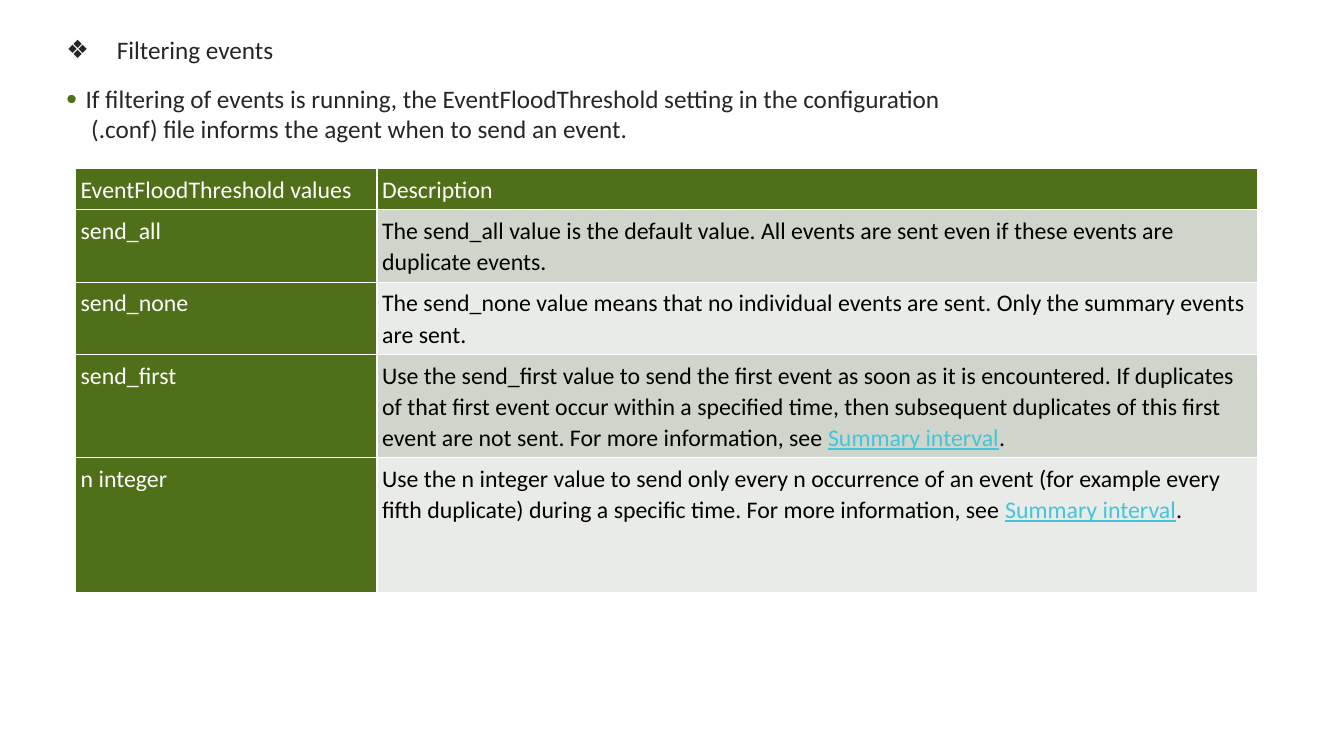
from lxml.etree import SubElement
from pptx import Presentation
from pptx.dml.color import RGBColor
from pptx.enum.text import MSO_ANCHOR as Anchor
from pptx.oxml.ns import qn
from pptx.util import Inches, Pt

COLORS = {"green": "4F6F19", "ink": "262626", "white": "FFFFFF", "black": "000000",
          "link": "41C4DC", "dark_band": "D0D5CC", "light_band": "E9EBE8"}
HEADINGS = [
    {"box": (0.56, 0.21, 8.89, 0.57), "anchor": Anchor.MIDDLE, "bullet": "❖",
     "indent": 0.5, "bullet_color": "ink", "bullet_size": 100, "text": "Filtering events"},
    {"box": (0.56, 0.78, 12.11, 0.8), "anchor": Anchor.TOP, "bullet": "•",
     "indent": 0.19, "bullet_color": "green", "bullet_size": 120,
     "text": "If filtering of events is running, the EventFloodThreshold setting in the configuration\v"
             " (.conf) file informs the agent when to send an event."},
]
SUMMARY_LINK = "Summary interval"
ROWS = [
    ("EventFloodThreshold values", ["Description"]),
    ("send_all", ["The send_all value is the default value. All events are sent even if "
                  "these events are duplicate events."]),
    ("send_none", ["The send_none value means that no individual events are sent. Only the "
                   "summary events are sent."]),
    ("send_first", ["Use the send_first value to send the first event as soon as it is encountered. "
                    "If duplicates of that first event occur within a specified time, then subsequent "
                    "duplicates of this first event are not sent. For more information, see ",
                    SUMMARY_LINK, "."]),
    ("n integer", ["Use the n integer value to send only every n occurrence of an event (for example "
                   "every fifth duplicate) during a specific time. For more information, see ",
                   SUMMARY_LINK, "."]),
]
TABLE_LEFT, TABLE_TOP = 0.75, 1.67
COLUMN_WIDTHS = [2.99, 8.73]
ROW_HEIGHTS = [0.41, 0.72, 0.72, 1.02, 1.34]
CELL_FORMAT = {f"margin_{side}": Inches(0.05) for side in ("left", "right", "top", "bottom")}


def color(name):
    return RGBColor.from_string(COLORS[name])


def set_all(target, values):
    for name, value in values.items():
        setattr(target, name, value)


def style(font, size, name, underline=False):
    set_all(font, {"name": "Calibri", "size": Pt(size), "bold": False, "underline": underline})
    font.color.rgb = color(name)


def add_bullet(para, heading):
    props = para._p.get_or_add_pPr()
    indent = Inches(heading["indent"])
    props.set("marL", str(indent))
    props.set("indent", str(-indent))
    tint = SubElement(props, qn("a:buClr"))
    SubElement(tint, qn("a:srgbClr"), val=COLORS[heading["bullet_color"]])
    SubElement(props, qn("a:buSzPct"), val=str(heading["bullet_size"] * 1000))
    SubElement(props, qn("a:buFont"), typeface="Arial")
    SubElement(props, qn("a:buChar"), char=heading["bullet"])


def add_heading(page, heading):
    frame = page.shapes.add_textbox(*map(Inches, heading["box"])).text_frame
    set_all(frame, {"word_wrap": True, "vertical_anchor": heading["anchor"]})
    para = frame.paragraphs[0]
    para.text = heading["text"]
    for span in para.runs:
        style(span.font, 18, "ink")
    add_bullet(para, heading)


def add_borders(cell):
    props = cell._tc.get_or_add_tcPr()
    for position, side in enumerate(("lnL", "lnR", "lnT", "lnB")):
        line = props.makeelement(qn(f"a:{side}"), {"w": str(Pt(1))})
        fill = SubElement(line, qn("a:solidFill"))
        SubElement(fill, qn("a:srgbClr"), val=COLORS["white"])
        props.insert(position, line)


def fill_cell(cell, pieces, fill, ink, anchor):
    set_all(cell, {**CELL_FORMAT, "vertical_anchor": anchor})
    cell.fill.solid()
    cell.fill.fore_color.rgb = color(fill)
    add_borders(cell)
    para = cell.text_frame.paragraphs[0]
    para.line_spacing = 1.07
    for piece in pieces:
        span = para.add_run()
        span.text = piece
        linked = piece == SUMMARY_LINK
        style(span.font, 17, "link" if linked else ink, linked)


def add_threshold_table(page):
    size = (sum(COLUMN_WIDTHS), sum(ROW_HEIGHTS))
    table = page.shapes.add_table(len(ROWS), len(COLUMN_WIDTHS),
                                  *map(Inches, (TABLE_LEFT, TABLE_TOP, *size))).table
    for column, width in zip(table.columns, COLUMN_WIDTHS):
        column.width = Inches(width)
    for index, (value, description) in enumerate(ROWS):
        table.rows[index].height = Inches(ROW_HEIGHTS[index])
        anchor = Anchor.TOP if index else Anchor.BOTTOM
        band = "dark_band" if index % 2 else "light_band"
        fill, ink = (band, "black") if index else ("green", "white")
        fill_cell(table.cell(index, 0), [value], "green", "white", anchor)
        fill_cell(table.cell(index, 1), description, fill, ink, anchor)


def main():
    deck = Presentation()
    set_all(deck, {"slide_width": Inches(13.33), "slide_height": Inches(7.5)})
    page = deck.slides.add_slide(deck.slide_layouts[6])
    for heading in HEADINGS:
        add_heading(page, heading)
    add_threshold_table(page)
    deck.save("out.pptx")


if __name__ == "__main__":
    main()
